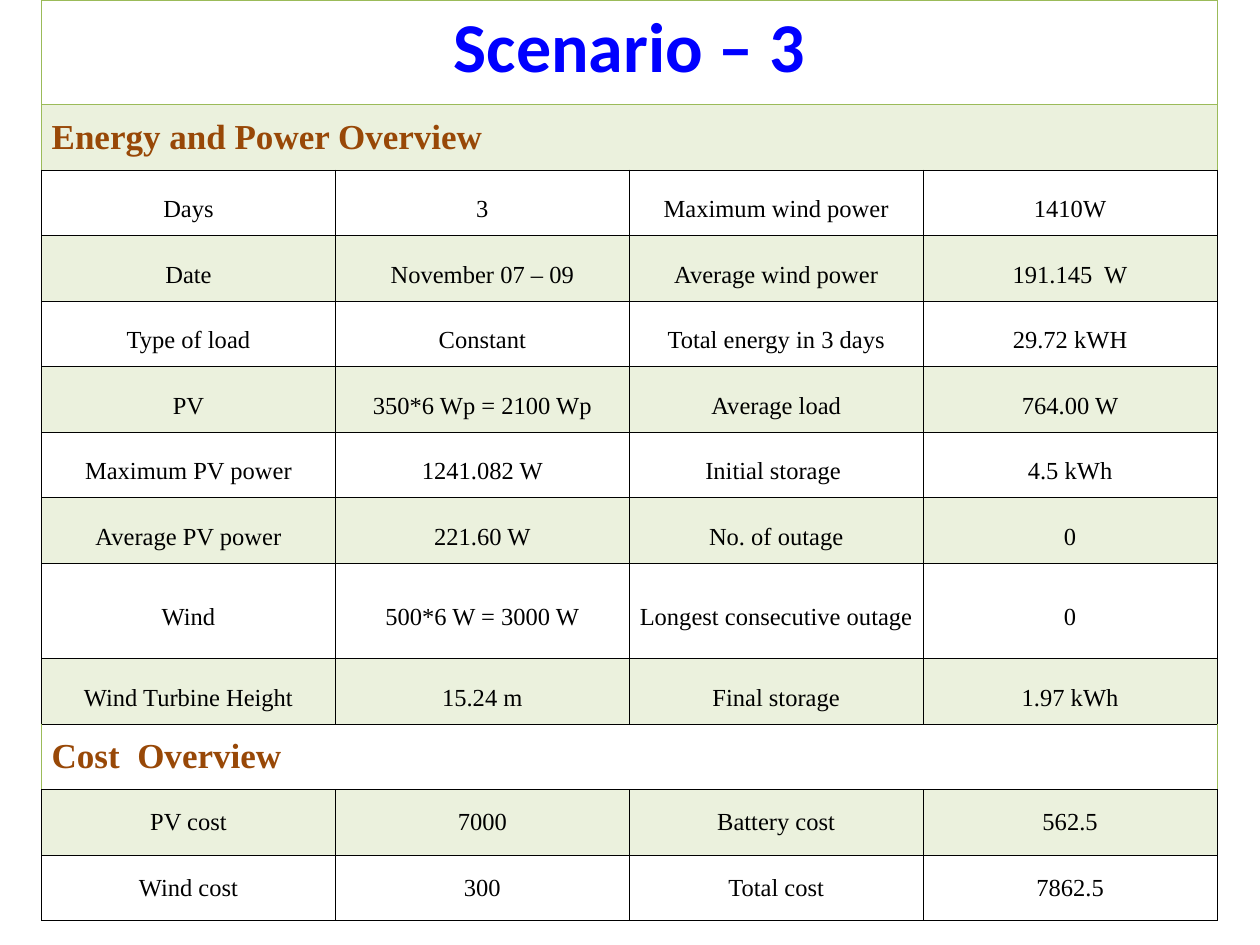
from dataclasses import dataclass

from lxml import etree
from pptx import Presentation
from pptx.dml.color import RGBColor
from pptx.enum.text import MSO_ANCHOR, PP_ALIGN
from pptx.oxml.ns import qn
from pptx.util import Inches, Pt


@dataclass(frozen=True)
class Theme:
    title_font: str = "Calibri"
    body_font: str = "Times New Roman"
    title_size: int = 40
    section_size: int = 20
    body_size: int = 14
    title_color: str = "0000FF"
    section_color: str = "984807"
    ink: str = "000000"
    accent: str = "9BBB59"
    tint_percent: int = 20
    thin: float = 0.45
    thick: float = 0.96


THEME = Theme()
COLUMNS = 4
ROW_HEIGHT = 0.52
TITLE_HEIGHT = 0.83
WIND_HEIGHT = 0.76

TITLE = "Scenario – 3"
ENERGY_HEADING = "Energy and Power Overview"
ENERGY_ROWS = [
    ("Days", "3", "Maximum wind power", "1410W"),
    ("Date", "November 07 – 09", "Average wind power", "191.145  W"),
    ("Type of load", "Constant", "Total energy in 3 days", "29.72 kWH"),
    ("PV", "350*6 Wp = 2100 Wp", "Average load", "764.00 W"),
    ("Maximum PV power", "1241.082 W", "Initial storage ", "4.5 kWh"),
    ("Average PV power", "221.60 W", "No. of outage", "0"),
    ("Wind", "500*6 W = 3000 W", "Longest consecutive outage", "0"),
    ("Wind Turbine Height", "15.24 m", "Final storage", "1.97 kWh"),
]
COST_HEADING = "Cost  Overview"
COST_ROWS = [
    ("PV cost", "7000", "Battery cost", "562.5"),
    ("Wind cost", "300", "Total cost", "7862.5"),
]


def set_borders(cell, left, right, top, bottom):
    """Draw the four sides, each given as (colour, points)."""
    props = cell._tc.get_or_add_tcPr()
    for side, (color, points) in zip("LRTB", (left, right, top, bottom)):
        line = etree.SubElement(props, qn(f"a:ln{side}"), w=str(Pt(points)))
        fill = etree.SubElement(line, qn("a:solidFill"))
        etree.SubElement(fill, qn("a:srgbClr"), val=color)


def set_band(cell, tinted):
    if not tinted:
        cell.fill.background()
        return
    cell.fill.solid()
    cell.fill.fore_color.rgb = RGBColor.from_string(THEME.accent)
    color = cell._tc.tcPr.find(f"{qn('a:solidFill')}/{qn('a:srgbClr')}")
    etree.SubElement(color, qn("a:alpha"), val=str(THEME.tint_percent * 1000))


def write_cell(cell, words, font, size, color, bold=False,
               align=PP_ALIGN.CENTER, spacing=None):
    cell.vertical_anchor = MSO_ANCHOR.MIDDLE
    cell.margin_left = cell.margin_right = Inches(0.08)
    cell.margin_top = cell.margin_bottom = Inches(0.05)
    cell.text = words
    paragraph = cell.text_frame.paragraphs[0]
    paragraph.alignment = align
    if spacing:
        paragraph.line_spacing = spacing
    paragraph.font.name = font
    paragraph.font.size = Pt(size)
    paragraph.font.bold = bold
    paragraph.font.color.rgb = RGBColor.from_string(color)


def merge_row(table, row, top, bottom):
    """Join a whole row into one cell with accent-coloured ends."""
    end = (THEME.accent, THEME.thin)
    for column in range(COLUMNS):
        cell = table.cell(row, column)
        set_borders(cell, end, end, top, bottom)
        set_band(cell, row % 2)
    merged = table.cell(row, 0)
    merged.merge(table.cell(row, COLUMNS - 1))
    return merged


def add_title(table):
    cell = merge_row(table, 0, (THEME.accent, THEME.thin),
                     (THEME.accent, THEME.thick))
    write_cell(cell, TITLE, THEME.title_font, THEME.title_size,
               THEME.title_color, bold=True)
    cell.vertical_anchor = MSO_ANCHOR.TOP
    cell.margin_left = cell.margin_right = Inches(0.1)


def add_section(table, start, heading, records, top, spacing=None):
    """Write a heading row and its records; return the next free row."""
    grid = (THEME.ink, THEME.thin)
    cell = merge_row(table, start, top, grid)
    write_cell(cell, heading, THEME.body_font, THEME.section_size,
               THEME.section_color, bold=True, align=PP_ALIGN.LEFT)
    for row, record in enumerate(records, start + 1):
        for column, words in enumerate(record):
            cell = table.cell(row, column)
            set_borders(cell, grid, grid, grid, grid)
            set_band(cell, row % 2)
            write_cell(cell, words, THEME.body_font, THEME.body_size,
                       THEME.ink, spacing=spacing)
    return start + 1 + len(records)


def add_overview_table(slide):
    heights = [TITLE_HEIGHT, ROW_HEIGHT]
    heights += [WIND_HEIGHT if record[0] == "Wind" else ROW_HEIGHT
                for record in ENERGY_ROWS]
    heights += [ROW_HEIGHT] * (1 + len(COST_ROWS))
    table = slide.shapes.add_table(
        len(heights), COLUMNS, Inches(0.33), Inches(0),
        Inches(9.33), Inches(sum(heights))).table
    table.first_row = table.horz_banding = False
    for row, height in zip(table.rows, heights):
        row.height = Inches(height)
    return table


def main():
    deck = Presentation()
    deck.slide_width, deck.slide_height = Inches(10), Inches(7.5)
    slide = deck.slides.add_slide(deck.slide_layouts[6])
    table = add_overview_table(slide)
    add_title(table)
    cost_start = add_section(table, 1, ENERGY_HEADING, ENERGY_ROWS,
                             (THEME.accent, THEME.thick), spacing=1.5)
    add_section(table, cost_start, COST_HEADING, COST_ROWS,
                (THEME.ink, THEME.thin))
    deck.save("out.pptx")


if __name__ == "__main__":
    main()
